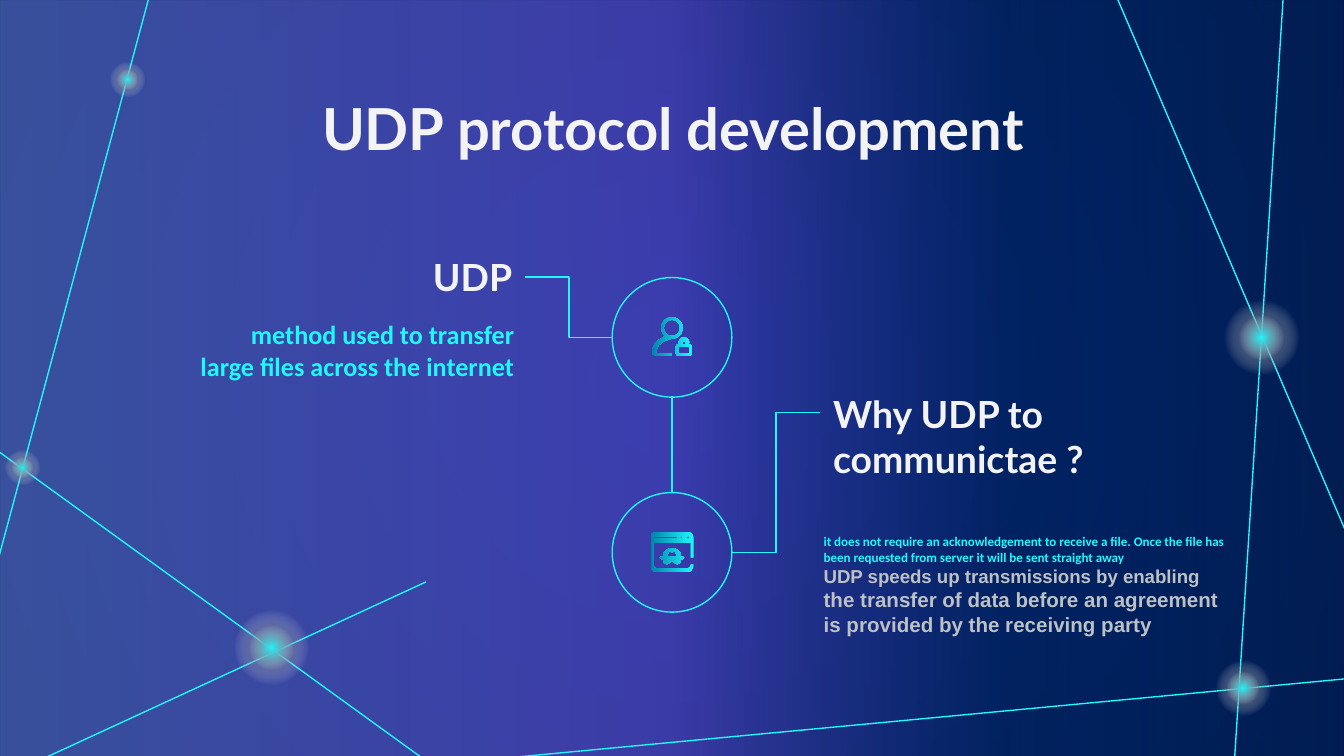
import math
from dataclasses import dataclass

import pptx
import pptx.dml.color
import pptx.enum.shapes
import pptx.enum.text
import pptx.oxml
import pptx.oxml.ns
import pptx.util
from pptx.util import Inches

RGBColor = pptx.dml.color.RGBColor
ALIGN = pptx.enum.text.PP_ALIGN
SHAPE = pptx.enum.shapes.MSO_SHAPE
CONNECTOR = pptx.enum.shapes.MSO_CONNECTOR

SLIDE_WIDTH = 10
SLIDE_HEIGHT = SLIDE_WIDTH * 9 / 16

CYAN = RGBColor(0x20, 0xF8, 0xFD)
TEAL = RGBColor(0x01, 0x82, 0xAA)
WHITE = RGBColor(0xF3, 0xF3, 0xF3)
GREY = RGBColor(0xBD, 0xC1, 0xC6)
NAVY = RGBColor(0x01, 0x20, 0x60)
MIDNIGHT = RGBColor(0x00, 0x18, 0x3A)
PERIWINKLE = RGBColor(0x74, 0x8B, 0xFF)
VIOLET = RGBColor(0x76, 0x59, 0xFF)
ROYAL = RGBColor(0x02, 0x2E, 0x88)

Point = tuple[float, float]
Contour = list[Point]


@dataclass
class Stop:
    position: int
    color: RGBColor
    opacity: int = 100


@dataclass
class Run:
    text: str
    size: float
    font: str
    color: RGBColor


@dataclass
class TextBlock:
    left: float
    top: float
    width: float
    height: float
    paragraphs: list[list[Run]]
    align: ALIGN = ALIGN.LEFT
    space_after: float = 0


@dataclass
class Link:
    start: Point
    end: Point
    kind: CONNECTOR = CONNECTOR.STRAIGHT


@dataclass
class Glow:
    center: Point
    diameter: float


def set_gradient(owner, fill, stops: list[Stop], angle: int | None = None) -> None:
    """Linear gradient at an angle, or radial from the centre without one."""
    fill.gradient()
    direction = (f'<a:lin ang="{angle * 60000}" scaled="0"/>' if angle is not None else
                 '<a:path path="circle"><a:fillToRect l="50000" t="50000" r="50000" b="50000"/></a:path>')
    marks = "".join(
        f'<a:gs pos="{s.position * 1000}"><a:srgbClr val="{s.color}">'
        f'<a:alpha val="{s.opacity * 1000}"/></a:srgbClr></a:gs>' for s in stops)
    gradient = owner.element.xpath(".//a:gradFill")[0]
    gradient.getparent().replace(gradient, pptx.oxml.parse_xml(
        f'<a:gradFill {pptx.oxml.ns.nsdecls("a")} rotWithShape="1">'
        f'<a:gsLst>{marks}</a:gsLst>{direction}</a:gradFill>'))


def style_line(line) -> None:
    line.color.rgb = CYAN
    line.width = pptx.util.Pt(0.75)


def add_link(slide, link: Link) -> None:
    connector = slide.shapes.add_connector(
        link.kind, *(Inches(v) for v in (*link.start, *link.end)))
    style_line(connector.line)
    connector.element.spPr.append(
        pptx.oxml.parse_xml(f'<a:effectLst {pptx.oxml.ns.nsdecls("a")}/>'))


def add_circle(slide, center: Point, diameter: float):
    circle = slide.shapes.add_shape(
        SHAPE.OVAL, Inches(center[0] - diameter / 2), Inches(center[1] - diameter / 2),
        Inches(diameter), Inches(diameter))
    circle.shadow.inherit = False
    return circle


def add_glow(slide, glow: Glow) -> None:
    for core, scale in ((MIDNIGHT, 1), (CYAN, 0.6)):
        halo = add_circle(slide, glow.center, glow.diameter * scale)
        set_gradient(halo, halo.fill, [Stop(0, core), Stop(50, WHITE, 0), Stop(100, WHITE, 0)])
        halo.line.fill.background()


def write_text(shape, block: TextBlock) -> None:
    shape.left, shape.top, shape.width, shape.height = (
        Inches(v) for v in (block.left, block.top, block.width, block.height))
    frame = shape.text_frame
    frame_format = {"word_wrap": True, "auto_size": pptx.enum.text.MSO_AUTO_SIZE.NONE,
                    "vertical_anchor": pptx.enum.text.MSO_ANCHOR.TOP}
    frame_format |= {f"margin_{side}": Inches(0.1) for side in ("left", "top", "right", "bottom")}
    for name, value in frame_format.items():
        setattr(frame, name, value)
    for index, runs in enumerate(block.paragraphs):
        paragraph = frame.add_paragraph() if index else frame.paragraphs[0]
        paragraph.alignment = block.align
        paragraph.space_after = pptx.util.Pt(block.space_after)
        for item in runs:
            run = paragraph.add_run()
            run.text = item.text
            for name, value in {"size": pptx.util.Pt(item.size), "name": item.font, "bold": True}.items():
                setattr(run.font, name, value)
            run.font.color.rgb = item.color


def arc(x: float, y: float, radius: float, start: int = 0, end: int = 360) -> Contour:
    steps = max(abs(end - start) // 15, 1)
    angles = (math.radians(start + (end - start) * i / steps) for i in range(steps + 1))
    return [(x + radius * math.cos(a), y + radius * math.sin(a)) for a in angles]


def rounded(left: float, top: float, right: float, bottom: float, radius: float) -> Contour:
    corners = ((left + radius, top + radius, 180), (right - radius, top + radius, 270),
               (right - radius, bottom - radius, 0), (left + radius, bottom - radius, 90))
    return [p for x, y, a in corners for p in arc(x, y, radius, a, a + 90)]


def add_icon(slide, contours: list[Contour]) -> None:
    scaled = [[(Inches(x), Inches(y)) for x, y in contour] for contour in contours]
    builder = slide.shapes.build_freeform(*scaled[0][0])
    for index, contour in enumerate(scaled):
        if index:
            builder.move_to(*contour[0])
        builder.add_line_segments(contour[1:], close=True)
    icon = builder.convert_to_shape()
    icon.shadow.inherit = False
    set_gradient(icon, icon.fill, [Stop(0, CYAN), Stop(100, TEAL)], 180)
    icon.line.fill.background()


NETWORK = [
    Link((8.31, -0.02), (10.02, 3.97)), Link((9.55, -0.06), (9.18, 5.74)),
    Link((3.77, 5.64), (10.13, 5.04)), Link((-0.01, 3.36), (3.21, 5.69)),
    Link((0.16, 5.72), (3.17, 4.33)), Link((1.13, -0.1), (-0.01, 4.15)),
]
GLOWS = [Glow((9.39, 2.51), 0.79), Glow((9.25, 5.12), 0.58), Glow((2.02, 4.82), 0.79),
         Glow((0.17, 3.48), 0.37), Glow((0.95, 0.59), 0.37)]

TITLE = TextBlock(0.79, 0.59, 8.43, 0.69,
                  [[Run("UDP protocol development", 31, "Lato", WHITE)]], ALIGN.CENTER)
TEXTS = [
    TextBlock(0.73, 1.79, 3.18, 0.52, [[Run("UDP", 20, "Lato", WHITE)]], ALIGN.RIGHT, 16),
    TextBlock(6.1, 2.81, 3.18, 0.52,
              [[Run("Why UDP to communictae ?", 20, "Lato", WHITE)]], space_after=16),
    TextBlock(0.79, 2.27, 3.18, 0.89,
              [[Run("method used to transfer ", 14, "Calibri", CYAN)],
               [Run("large files across the internet ", 14, "Calibri", CYAN)]], ALIGN.RIGHT),
    TextBlock(6.03, 3.87, 3.18, 1.6, [
        [Run("it does not require an acknowledgement to receive a file. Once the file has "
             "been requested from server it will be sent straight away", 7, "Calibri", CYAN)],
        [Run("UDP speeds up transmissions by enabling ", 10, "Arial", GREY),
         Run("the transfer of data before an agreement is provided by the receiving party",
             11, "Arial", GREY)]]),
]

NODES = [(5, 2.51), (5, 4.11)]
NODE_LINKS = [Link((3.91, 2.06), (4.56, 2.51), CONNECTOR.ELBOW),
              Link((5.45, 4.11), (6.1, 3.07), CONNECTOR.ELBOW),
              Link((5, 2.95), (5, 3.66))]

USER_LOCK = [
    arc(5, 2.44, 0.08), arc(5, 2.44, 0.06),
    # Shoulders
    [(5, 2.65), (4.89, 2.65), (4.86, 2.64), (4.85, 2.61), (4.87, 2.56), (4.9, 2.53),
     (4.95, 2.5), (5, 2.52), (4.94, 2.54), (4.9, 2.57), (4.88, 2.62), (4.89, 2.63), (5, 2.63)],
    # Lock body and shackle
    rounded(5.03, 2.56, 5.15, 2.65, 0.02), rounded(5.05, 2.58, 5.13, 2.63, 0.01),
    [(5.05, 2.56), *arc(5.09, 2.55, 0.04, 180, 360), (5.12, 2.56),
     (5.1, 2.56), *arc(5.09, 2.55, 0.01, 360, 180), (5.08, 2.56)],
]
BROWSER_SPY = [
    # Window frame, open on the right
    [*arc(4.88, 4, 0.04, 180, 270), *arc(5.12, 4, 0.04, 270, 360), (5.16, 4.15), (5.14, 4.15),
     (5.14, 4.04), (4.86, 4.04), *arc(4.89, 4.2, 0.03, 180, 90), *arc(5.11, 4.2, 0.03, 90, 0),
     (5.16, 4.2), *arc(5.11, 4.21, 0.05, 0, 90), *arc(4.89, 4.21, 0.05, 90, 180)],
    rounded(4.86, 3.99, 5.04, 4.01, 0.01), arc(5.07, 4, 0.01), arc(5.12, 4, 0.01),
    # Hat and glasses
    [(4.94, 4.14), (4.94, 4.11), (4.96, 4.09), (4.98, 4.08), (5, 4.08), (5.02, 4.08),
     (5.04, 4.09), (5.06, 4.11), (5.06, 4.14), (5.08, 4.14), (5.09, 4.15), (5.08, 4.16),
     (5.06, 4.17), (5.06, 4.19), (5.04, 4.2), (5.02, 4.19), (5, 4.17), (4.98, 4.19),
     (4.96, 4.2), (4.94, 4.19), (4.94, 4.17), (4.92, 4.16), (4.91, 4.15), (4.92, 4.14)],
    [(4.96, 4.14), (4.97, 4.12), (4.98, 4.1), (5, 4.11), (5.02, 4.1), (5.03, 4.12), (5.04, 4.14)],
]


def main() -> None:
    deck = pptx.Presentation()
    deck.slide_width, deck.slide_height = Inches(SLIDE_WIDTH), Inches(SLIDE_HEIGHT)
    slide = deck.slides.add_slide(deck.slide_layouts[5])

    # Background and network decoration
    set_gradient(slide, slide.background.fill, [Stop(0, NAVY), Stop(100, MIDNIGHT)])
    veil = slide.shapes.add_shape(SHAPE.RECTANGLE, 0, 0, deck.slide_width, deck.slide_height)
    veil.shadow.inherit = False
    veil.line.fill.background()
    set_gradient(veil, veil.fill, [Stop(0, PERIWINKLE, 49), Stop(50, VIOLET, 50),
                                   Stop(75, ROYAL, 35), Stop(100, NAVY, 60)], 0)
    for link in NETWORK:
        add_link(slide, link)
    for glow in GLOWS:
        add_glow(slide, glow)

    # Title and texts, with the title raised above the decoration
    title = slide.shapes.title
    slide.shapes.element.append(title.element)
    write_text(title, TITLE)
    for block in TEXTS:
        write_text(slide.shapes.add_textbox(0, 0, 0, 0), block)

    # Nodes with icons and links
    for center in NODES:
        node = add_circle(slide, center, 0.89)
        node.fill.background()
        style_line(node.line)
    for icon in (USER_LOCK, BROWSER_SPY):
        add_icon(slide, icon)
    for link in NODE_LINKS:
        add_link(slide, link)

    deck.save("out.pptx")


if __name__ == "__main__":
    main()
